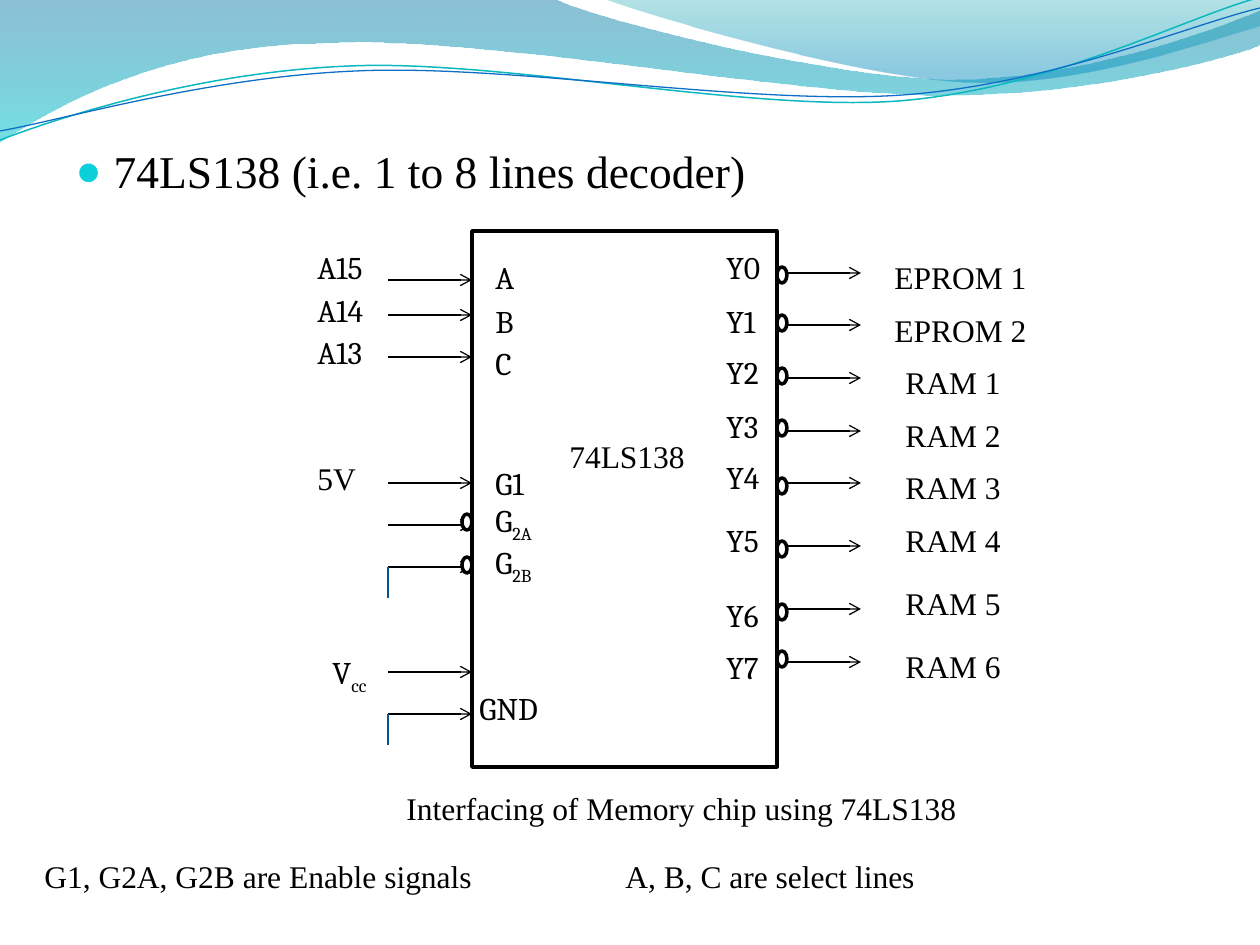
from lxml.etree import SubElement
from pptx import Presentation
from pptx.dml.color import RGBColor
from pptx.enum.shapes import MSO_CONNECTOR, MSO_SHAPE
from pptx.enum.text import MSO_AUTO_SIZE
from pptx.oxml.ns import qn
from pptx.util import Pt

PX = 914400 / 126
W, H = 1260, 945

THEME = dict(
    ink="000000", paper="FFFFFF", bullet="0BD0D9", stub="095295",
    serif="Times New Roman", pin="Cambria", head=26, label=18,
    thin=0.75, thick=2,
)

# Content: heading and captions (text, left, top, width)
HEADING = "74LS138 (i.e. 1 to 8 lines decoder)"
CAPTIONS = [
    ("74LS138", 557, 431, 179),
    ("Interfacing of Memory chip using 74LS138", 394, 783, 788),
    ("G1, G2A, G2B are Enable signals", 32, 851, 494),
    ("A, B, C are select lines", 613, 851, 494),
]

# Outputs: pin, pin top, bubble top, arrow y, device, device top
OUTPUTS = [
    ("Y0", 242, 267, 273, "EPROM 1", 252),
    ("Y1", 296, 315, 325, "EPROM 2", 305),
    ("Y2", 347, 368, 378, "RAM 1", 357),
    ("Y3", 401, 420, 431, "RAM 2", 410),
    ("Y4", 452, 478, 483, "RAM 3", 462),
    ("Y5", 515, 541, 546, "RAM 4", 515),
    ("Y6", 590, 604, 609, "RAM 5", 578),
    ("Y7", 642, 651, 662, "RAM 6", 641),
]

# Input side: arrows, inverting bubbles and ground stubs by y
INPUT_YS = [280, 315, 357, 483, 525, 567, 672, 714]
INPUT_BUBBLES = [514, 557]
STUB_YS = [567, 714]

# Input labels: text, subscript, left, top, width, font
PIN_X, SOURCE_X = 483, 305
INPUT_LABELS = [
    ("A", "", PIN_X, 252, 53, "pin"), ("B", "", PIN_X, 296, 53, "pin"),
    ("C", "", PIN_X, 338, 53, "pin"), ("G1", "", PIN_X, 458, 84, "pin"),
    ("G", "2A", PIN_X, 495, 84, "pin"), ("G", "2B", PIN_X, 537, 84, "pin"),
    ("GND", "", 467, 683, 121, "pin"), ("V", "cc", 320, 647, 121, "pin"),
    ("A15", "", SOURCE_X, 242, 76, "pin"), ("A14", "", SOURCE_X, 285, 76, "pin"),
    ("A13", "", SOURCE_X, 327, 76, "pin"), ("5V", "", SOURCE_X, 453, 76, "serif"),
]

CHIP = (472, 231, 305, 536)
CHIP_RIGHT = CHIP[0] + CHIP[2]
INPUT_X, OUTPUT_X, STUB = 388, 861, 31
BUBBLE_W, BUBBLE_H = 10, 16

# Waves: each step is one point (line) or three points (Bezier curve)
BANDS = [
    ([[(0, 0)], [(554, -1)],
      [(600, 21), (837, 79), (955, 79)], [(1075, 79), (1207, 33), (1260, 11)],
      [(1261, 45)],
      [(1238, 55), (1096, 96), (940, 95)], [(784, 95), (481, 35), (324, 43)],
      [(163, 45), (58, 105), (-1, 142)], [(0, 0)]],
     [(0, "0074A1", 45), (1, "00C6CF", 55)]),
    ([[(604, -1)], [(641, 14), (859, 78), (969, 82)],
      [(1079, 87), (1211, 40), (1260, 26)], [(1260, 0)], [(604, -1)]],
     [(0, "00A1A9", 30), (0.8, "008BBF", 45)]),
]
WAVE_LINES = [
    ([[(0, 140)], [(60, 117), (199, 72), (349, 66)],
      [(498, 59), (747, 112), (898, 101)], [(1050, 89), (1182, 19), (1257, -2)]],
     "0AB8BF", 0.85),
    ([[(0, 131)], [(59, 121), (207, 77), (357, 71)],
      [(508, 64), (752, 106), (903, 95)], [(1053, 84), (1186, 26), (1260, 8)]],
     "0F6FC6", 0.75),
]


def emu(*lengths):
    return [round(n * PX) for n in lengths]


def rgb(name):
    return RGBColor.from_string(THEME.get(name, name))


def format_font(font, family, size):
    for key, value in dict(name=THEME[family], size=Pt(THEME[size])).items():
        setattr(font, key, value)
    font.color.rgb = rgb("ink")


def set_line(s, color, width):
    s.line.color.rgb = rgb(color)
    s.line.width = Pt(width)


def add_outline(shapes, steps, close):
    points = [emu(*point) for step in steps for point in step]
    builder = shapes.build_freeform(*points[0])
    builder.add_line_segments(points[1:], close=close)
    s = builder.convert_to_shape()
    s.shadow.inherit = False

    # Rewrite the outline with true curves
    outline = next(s._element.iter(qn("a:path")))
    for child in list(outline):
        outline.remove(child)
    for i, step in enumerate(steps):
        tag = "a:moveTo" if i == 0 else "a:lnTo" if len(step) == 1 else "a:cubicBezTo"
        segment = SubElement(outline, qn(tag))
        for point in step:
            x, y = emu(*point)
            SubElement(segment, qn("a:pt"), x=str(x - s.left), y=str(y - s.top))
    if close:
        SubElement(outline, qn("a:close"))
    return s


def add_band(shapes, steps, stops):
    s = add_outline(shapes, steps, True)
    s.line.fill.background()
    s.fill.gradient()
    s.fill.gradient_angle = 270
    for stop, (position, color, _) in zip(s.fill.gradient_stops, stops):
        stop.position = position
        stop.color.rgb = rgb(color)
    for clr, (_, _, opacity) in zip(s._element.spPr.iter(qn("a:srgbClr")), stops):
        SubElement(clr, qn("a:alpha"), val=str(opacity * 1000))


def add_solid(shapes, kind, *box):
    s = shapes.add_shape(kind, *emu(*box))
    s.shadow.inherit = False
    s.fill.solid()
    s.fill.fore_color.rgb = rgb("paper")
    set_line(s, "ink", THEME["thick"])


def add_wire(shapes, x1, y1, x2, y2, color="ink", arrow=True):
    s = shapes.add_connector(MSO_CONNECTOR.STRAIGHT, *emu(x1, y1, x2, y2))
    set_line(s, color, THEME["thin"])
    if arrow:
        SubElement(s.line._get_or_add_ln(), qn("a:tailEnd"), type="arrow")
    SubElement(s._element.spPr, qn("a:effectLst"))


def add_label(shapes, text, left, top, width, family="serif", sub=""):
    tf = shapes.add_textbox(*emu(left, top, width, 50)).text_frame
    tf.word_wrap = True
    tf.auto_size = MSO_AUTO_SIZE.SHAPE_TO_FIT_TEXT
    p = tf.paragraphs[0]
    for part, baseline in ((text, None), (sub, "-25000")):
        if part:
            r = p.add_run()
            r.text = part
            format_font(r.font, family, "label")
            if baseline:
                r._r.get_or_add_rPr().set("baseline", baseline)


def add_heading(s):
    s.left, s.top, s.width, s.height = emu(63, 137, 1134, 734)
    p = s.text_frame.paragraphs[0]
    p.space_before = Pt(0)
    pPr = p._p.get_or_add_pPr()
    indent, = emu(38)
    pPr.set("marL", str(indent))
    pPr.set("indent", str(-indent))
    SubElement(SubElement(pPr, qn("a:buClr")), qn("a:srgbClr"), val=THEME["bullet"])
    SubElement(pPr, qn("a:buSzPct"), val="95000")
    SubElement(pPr, qn("a:buChar"), char="●")
    r = p.add_run()
    r.text = HEADING
    format_font(r.font, "serif", "head")


def main():
    prs = Presentation()
    prs.slide_width, prs.slide_height = emu(W, H)
    slide = prs.slides.add_slide(prs.slide_layouts[1])
    shapes = slide.shapes
    title = shapes.title._element
    title.getparent().remove(title)
    add_heading(slide.placeholders[1])

    # Waves across the top
    for steps, stops in BANDS:
        add_band(shapes, steps, stops)
    for steps, color, width in WAVE_LINES:
        s = add_outline(shapes, steps, False)
        s.fill.background()
        set_line(s, color, width)

    # Chip and its inputs
    add_solid(shapes, MSO_SHAPE.RECTANGLE, *CHIP)
    for y in INPUT_YS:
        add_wire(shapes, INPUT_X, y, CHIP[0], y)
    for y in STUB_YS:
        add_wire(shapes, INPUT_X, y, INPUT_X, y + STUB, "stub", arrow=False)
    for y in INPUT_BUBBLES:
        add_solid(shapes, MSO_SHAPE.OVAL, CHIP[0] - BUBBLE_W, y, BUBBLE_W, BUBBLE_H)
    for text, sub, left, top, width, family in INPUT_LABELS:
        add_label(shapes, text, left, top, width, family, sub)

    # Outputs and selected devices
    for pin, pin_top, bubble_top, y, device, device_top in OUTPUTS:
        add_wire(shapes, CHIP_RIGHT, y, OUTPUT_X, y)
        add_solid(shapes, MSO_SHAPE.OVAL, CHIP_RIGHT, bubble_top, BUBBLE_W, BUBBLE_H)
        add_label(shapes, pin, 714, pin_top, 84, "pin")
        add_label(shapes, device, 882 if device.startswith("EPROM") else 893,
                  device_top, 168)

    # Captions
    for caption in CAPTIONS:
        add_label(shapes, *caption)
    prs.save("out.pptx")


if __name__ == "__main__":
    main()
